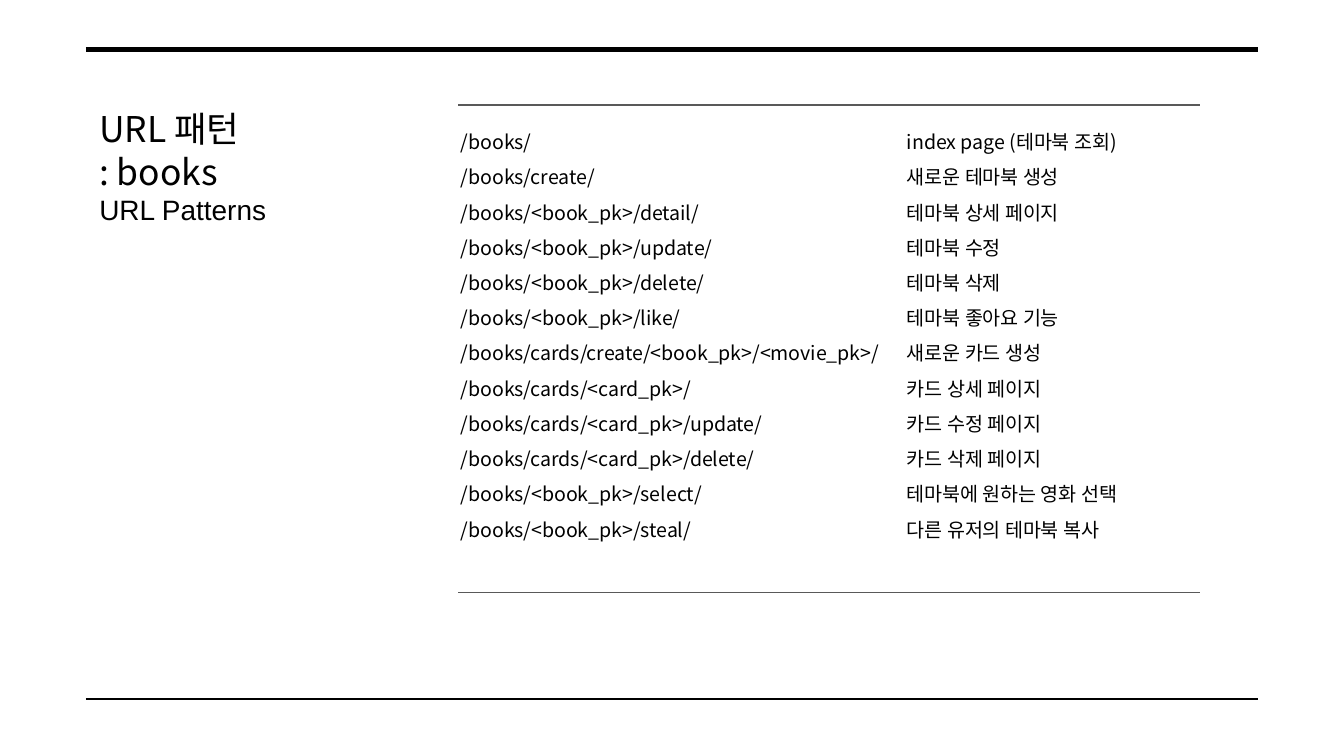
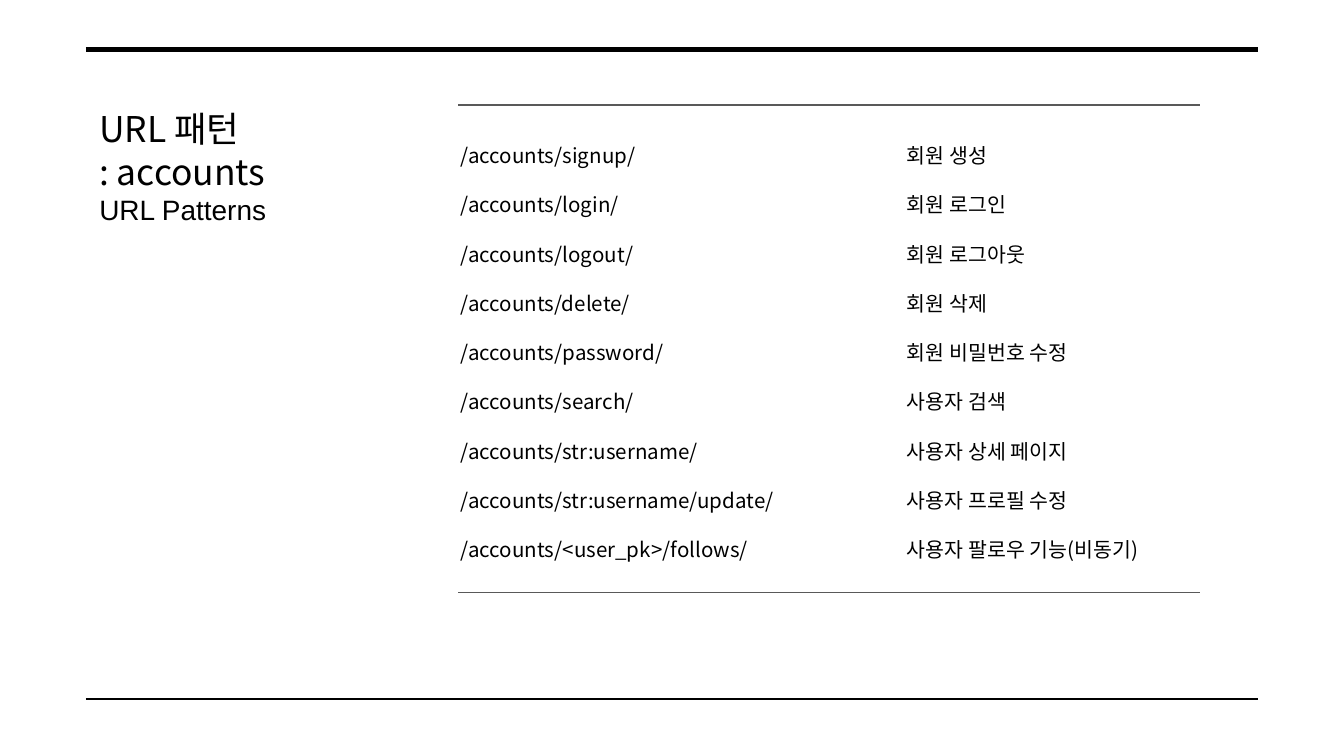
from dataclasses import dataclass

from lxml import etree
from pptx import Presentation
from pptx.dml.color import RGBColor
from pptx.enum import shapes, text
from pptx.oxml import ns
from pptx.util import Inches, Pt


@dataclass(frozen=True)
class Theme:
    ink: RGBColor = RGBColor(0, 0, 0)
    rule: RGBColor = RGBColor(0x59, 0x59, 0x59)
    paper: RGBColor = RGBColor(255, 255, 255)
    body_font: str = "Noto Sans CJK KR"
    caption_font: str = "Arial"
    title_size: float = 19
    caption_size: float = 15
    thin: float = 0.75
    thick: float = 3


@dataclass(frozen=True)
class Box:
    left: float
    top: float
    width: float
    height: float


THEME = Theme()
PAGE = Box(0, 0, 10, 10 * 9 / 16)
FRAME = Box(0.64, 0.37, 8.72, 4.83)
TITLE = Box(0.64, 0.7, 2.69, 1.11)
PATTERNS = Box(3.41, 0.78, 5.52, 3.63)
COLUMN_OFFSETS = (-0.08, 3.24)
COLUMN_WIDTH = 5.21
COLUMN_HEIGHT = 0.56

BOOKS = [
    ("/books/", "index page (테마북 조회)"),
    ("/books/create/", "새로운 테마북 생성"),
    ("/books/<book_pk>/detail/", "테마북 상세 페이지"),
    ("/books/<book_pk>/update/", "테마북 수정"),
    ("/books/<book_pk>/delete/", "테마북 삭제"),
    ("/books/<book_pk>/like/", "테마북 좋아요 기능"),
    ("/books/cards/create/<book_pk>/<movie_pk>/", "새로운 카드 생성"),
    ("/books/cards/<card_pk>/", "카드 상세 페이지"),
    ("/books/cards/<card_pk>/update/", "카드 수정 페이지"),
    ("/books/cards/<card_pk>/delete/", "카드 삭제 페이지"),
    ("/books/<book_pk>/select/", "테마북에 원하는 영화 선택"),
    ("/books/<book_pk>/steal/", "다른 유저의 테마북 복사"),
]
ACCOUNTS = [
    ("/accounts/signup/", "회원 생성"),
    ("/accounts/login/", "회원 로그인"),
    ("/accounts/logout/", "회원 로그아웃"),
    ("/accounts/delete/", "회원 삭제"),
    ("/accounts/password/", "회원 비밀번호 수정"),
    ("/accounts/search/", "사용자 검색"),
    ("/accounts/str:username/", "사용자 상세 페이지"),
    ("/accounts/str:username/update/", "사용자 프로필 수정"),
    ("/accounts/<user_pk>/follows/", "사용자 팔로우 기능(비동기)"),
]


def add_rule(page, box, y, color, weight):
    line = page.shapes.add_connector(
        shapes.MSO_CONNECTOR.STRAIGHT,
        Inches(box.left), Inches(y), Inches(box.left + box.width), Inches(y),
    )
    line.line.color.rgb = color
    line.line.width = Pt(weight)
    etree.SubElement(line._element.spPr, ns.qn("a:effectLst"))


def add_text(page, box, lines, spacing=None):
    shape = page.shapes.add_textbox(
        Inches(box.left), Inches(box.top), Inches(box.width), Inches(box.height)
    )
    frame = shape.text_frame
    frame.word_wrap = True
    frame.vertical_anchor = text.MSO_ANCHOR.TOP
    frame.margin_left = frame.margin_right = Inches(0.1)
    frame.margin_top = frame.margin_bottom = Inches(0.1)
    for index, (words, font, size) in enumerate(lines):
        para = frame.add_paragraph() if index else frame.paragraphs[0]
        para.line_spacing = spacing
        span = para.add_run()
        span.text = words
        span.font.size = Pt(size)
        span.font.color.rgb = THEME.ink
        span.font.name = font
        east_asian = etree.SubElement(span.font._element, ns.qn("a:ea"))
        east_asian.set("typeface", font)


def add_frame(page, box):
    add_rule(page, box, box.top + box.height, THEME.ink, THEME.thin)
    add_rule(page, box, box.top, THEME.ink, THEME.thick)


def add_title(page, box, app):
    add_text(page, box, [
        ("URL 패턴", THEME.body_font, THEME.title_size),
        (f": {app}", THEME.body_font, THEME.title_size),
        ("URL Patterns", THEME.caption_font, THEME.caption_size),
    ])


def add_patterns(page, box, patterns, size, spacing):
    for y in (box.top, box.top + box.height):
        add_rule(page, box, y, THEME.rule, THEME.thin)
    for offset, entries in zip(COLUMN_OFFSETS, zip(*patterns)):
        left = box.left + offset
        width = min(COLUMN_WIDTH, PAGE.width - left)
        lines = [(entry, THEME.body_font, size) for entry in entries]
        add_text(page, Box(left, box.top, width, COLUMN_HEIGHT), lines, spacing)


def add_pattern_page(deck, app, patterns, size, spacing):
    page = deck.slides.add_slide(deck.slide_layouts[6])
    page.background.fill.solid()
    page.background.fill.fore_color.rgb = THEME.paper
    add_frame(page, FRAME)
    add_title(page, TITLE, app)
    add_patterns(page, PATTERNS, patterns, size, spacing)


def main():
    deck = Presentation()
    deck.slide_width = Inches(PAGE.width)
    deck.slide_height = Inches(PAGE.height)
    add_pattern_page(deck, "books", BOOKS, size=10.5, spacing=1.5)
    add_pattern_page(deck, "accounts", ACCOUNTS, size=11, spacing=2.0)
    deck.save("out.pptx")


if __name__ == "__main__":
    main()
